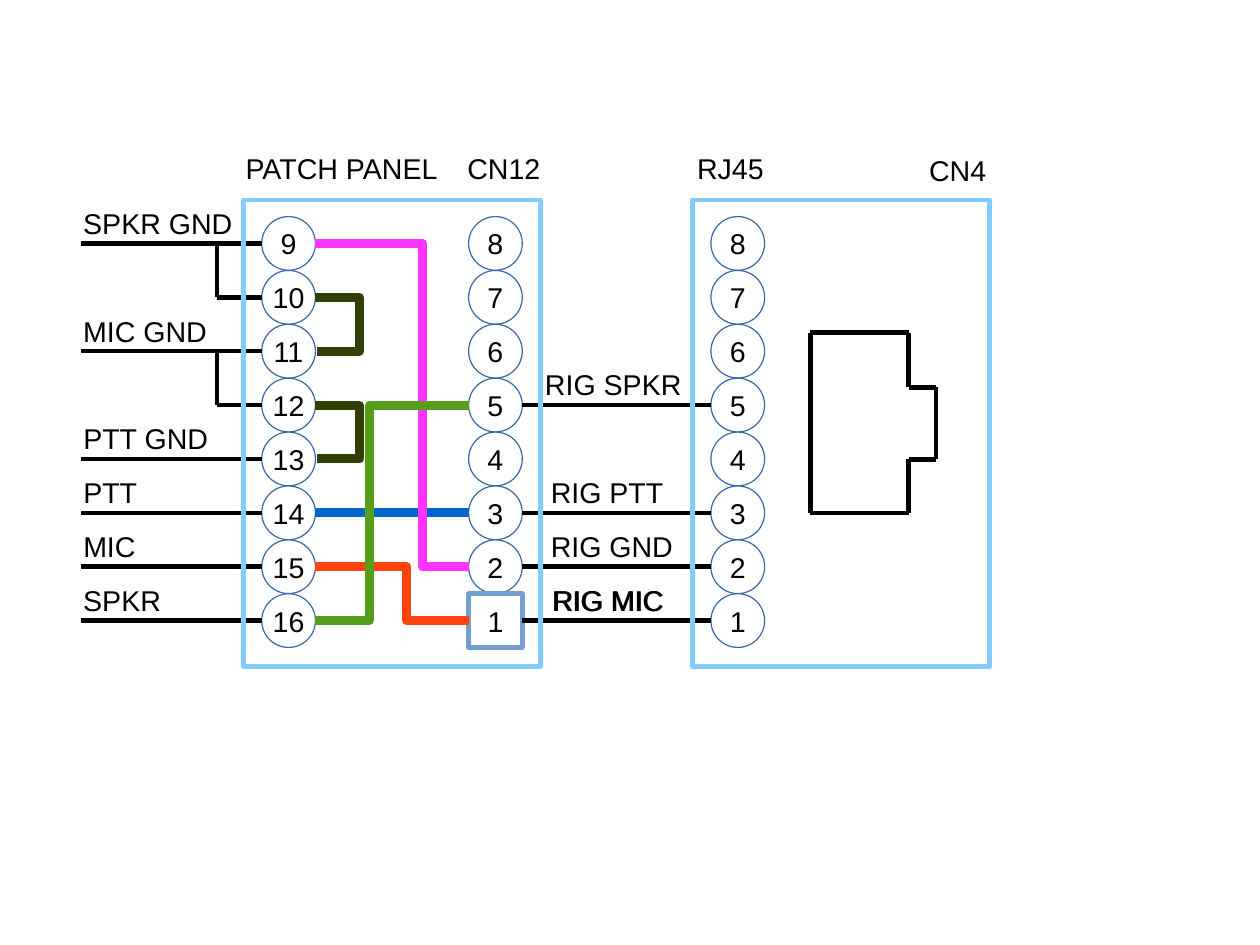
"""Wiring diagram of a patch panel joined to an RJ45 socket."""
import dataclasses

import lxml.etree
import pptx
import pptx.dml.color
import pptx.enum.shapes
import pptx.enum.text
import pptx.oxml.ns
import pptx.util

Inches = pptx.util.Inches
Pt = pptx.util.Pt
qn = pptx.oxml.ns.qn
SHAPE = pptx.enum.shapes.MSO_SHAPE
CONNECTOR = pptx.enum.shapes.MSO_CONNECTOR
ALIGN = pptx.enum.text.PP_ALIGN
ANCHOR = pptx.enum.text.MSO_ANCHOR
AUTO_SIZE = pptx.enum.text.MSO_AUTO_SIZE


@dataclasses.dataclass(frozen=True)
class Theme:
    font: str = "Arial"
    size: int = 18
    ink: str = "000000"
    pin_fill: str = "FFFFFF"
    pin_edge: str = "3465A4"
    first_pin_edge: str = "729FCF"
    panel_edge: str = "83CAFF"
    ground: str = "314004"
    magenta: str = "FF33FF"
    blue: str = "0066CC"
    orange: str = "FF420E"
    green: str = "579D1C"
    line: float = 2.83
    wire: float = 5.67


THEME = Theme()
PAGE_WIDTH, PAGE_HEIGHT = 28 / 2.54, 21 / 2.54
PIN = 0.47
FIRST_ROW, LAST_ROW = 2.13, 5.43
ROWS = [FIRST_ROW + (LAST_ROW - FIRST_ROW) * row / 7 for row in range(8)]
PANEL_PINS, CN12_PINS, RJ45_PINS = 2.29, 4.1, 6.22
PANEL_EDGE, CN12_EDGE = PANEL_PINS + PIN, CN12_PINS + PIN
LEAD_START, BRANCH = 0.71, 1.9
LABEL_HEIGHT = 0.38
ELLIPSE_LEFT, ELLIPSE_RIGHT, RECTANGLE_LEFT = 2, 6, 1


def rgb(value):
    return pptx.dml.color.RGBColor.from_string(value)


def apply(target, formats):
    for name, value in formats.items():
        setattr(target, name, value)


def outline(shape, color, width):
    shape.line.color.rgb = rgb(color)
    shape.line.width = Pt(width)


def write(shape, text, align, frame_formats):
    frame = shape.text_frame
    apply(frame, {"word_wrap": False, **frame_formats})
    para = frame.paragraphs[0]
    para.alignment = align
    span = para.add_run()
    span.text = text
    apply(span.font, {"name": THEME.font, "size": Pt(THEME.size)})
    span.font.color.rgb = rgb(THEME.ink)


def add_label(page, text, left, top, width):
    box = page.shapes.add_textbox(*map(Inches, (left, top, width, LABEL_HEIGHT)))
    write(box, text, ALIGN.LEFT, {"auto_size": AUTO_SIZE.SHAPE_TO_FIT_TEXT})


def add_outlined(page, kind, bounds, fill, edge, width):
    shape = page.shapes.add_shape(kind, *map(Inches, bounds))
    shape.shadow.inherit = False
    if fill:
        shape.fill.solid()
        shape.fill.fore_color.rgb = rgb(fill)
    else:
        shape.fill.background()
    outline(shape, edge, width)
    return shape


def add_pin(page, number, left, row, first=False):
    bounds = (left, ROWS[row] - PIN / 2, PIN, PIN)
    if first:
        pin = add_outlined(page, SHAPE.RECTANGLE, bounds, None, THEME.first_pin_edge, THEME.line)
    else:
        pin = add_outlined(page, SHAPE.OVAL, bounds, THEME.pin_fill, THEME.pin_edge, 0)
    write(pin, str(number), ALIGN.CENTER, {"vertical_anchor": ANCHOR.MIDDLE})
    return pin


def add_line(shapes, start, end, color=THEME.ink, width=THEME.line, kind=CONNECTOR.STRAIGHT):
    line = shapes.add_connector(kind, *map(Inches, (*start, *end)))
    outline(line, color, width)
    lxml.etree.SubElement(line._element.spPr, qn("a:effectLst"))
    return line


def glue(line, tag, pin, site):
    holder = line._element.find(".//" + qn("p:cNvCxnSpPr"))
    lxml.etree.SubElement(holder, qn(tag), id=str(pin.shape_id), idx=str(site))


def add_elbow(page, start_pin, end_pin, start, end, bend, color, end_site):
    wire = add_line(page.shapes, start, end, color, THEME.wire, CONNECTOR.ELBOW)
    ratio = (bend - start[0]) / (end[0] - start[0])
    geometry = wire._element.spPr.find(qn("a:prstGeom"))
    guides = geometry.get_or_add_avLst()
    lxml.etree.SubElement(guides, qn("a:gd"), name="adj1", fmla=f"val {round(ratio * 100000)}")
    glue(wire, "a:stCxn", start_pin, ELLIPSE_RIGHT)
    glue(wire, "a:endCxn", end_pin, end_site)


def add_jack(page):
    left, shoulder, right = 7.09, 7.95, 8.19
    top, notch_top, notch_bottom, bottom = 2.91, 3.39, 4.02, 4.49
    corners = [(left, top), (shoulder, top), (shoulder, notch_top), (right, notch_top),
               (right, notch_bottom), (shoulder, notch_bottom), (shoulder, bottom), (left, bottom)]
    jack = page.shapes.add_group_shape()
    for start, end in zip(corners, corners[1:] + corners[:1]):
        add_line(jack.shapes, start, end)


def add_leads(page):
    leads = [("SPKR GND", 0, 1.54), ("MIC GND", 2, 1.3), ("PTT GND", 4, 1.31),
             ("PTT", 5, 0.69), ("MIC", 6, 0.68), ("SPKR", 7, 0.9)]
    for text, row, width in leads:
        add_line(page.shapes, (LEAD_START, ROWS[row]), (PANEL_PINS, ROWS[row]))
        add_label(page, text, 0.63, ROWS[row] - LABEL_HEIGHT, width)
    for row in (0, 2):
        add_line(page.shapes, (BRANCH, ROWS[row + 1]), (PANEL_PINS, ROWS[row + 1]))
        add_line(page.shapes, (BRANCH, ROWS[row + 1]), (BRANCH, ROWS[row]))


def add_rig_lines(page):
    rig_lines = [("RIG SPKR", 3, 4.67, 1.43), ("RIG PTT", 5, 4.72, 1.21),
                 ("RIG GND", 6, 4.72, 1.29), ("RIG MIC", 7, 4.73, 1.19),
                 ("RIG MIC", 7, 4.74, 1.19)]
    for text, row, left, width in rig_lines:
        add_line(page.shapes, (CN12_EDGE, ROWS[row]), (RJ45_PINS, ROWS[row]))
        add_label(page, text, left, ROWS[row] - LABEL_HEIGHT, width)


def add_patch_wires(page, panel, cn12):
    for row in (1, 3):
        add_elbow(page, panel[row], panel[row + 1], (PANEL_EDGE, ROWS[row]),
                  (PANEL_EDGE + 0.01, ROWS[row + 1]), 3.15, THEME.ground, ELLIPSE_RIGHT)
    add_line(page.shapes, (PANEL_EDGE, ROWS[5]), (CN12_PINS, ROWS[5]), THEME.blue, THEME.wire)
    wires = [(0, 6, 3.7, THEME.magenta, ELLIPSE_LEFT),
             (6, 7, 3.56, THEME.orange, RECTANGLE_LEFT),
             (7, 3, 3.23, THEME.green, ELLIPSE_LEFT)]
    for start, end, bend, color, site in wires:
        add_elbow(page, panel[start], cn12[end], (PANEL_EDGE, ROWS[start]),
                  (CN12_PINS, ROWS[end]), bend, color, site)


def main():
    deck = pptx.Presentation()
    apply(deck, {"slide_width": Inches(PAGE_WIDTH), "slide_height": Inches(PAGE_HEIGHT)})
    page = deck.slides.add_slide(deck.slide_layouts[6])
    panel = [add_pin(page, 9 + row, PANEL_PINS, row) for row in range(8)]
    cn12 = [add_pin(page, 8 - row, CN12_PINS, row, row == 7) for row in range(8)]
    add_leads(page)
    add_patch_wires(page, panel, cn12)
    for row in range(8):
        add_pin(page, 8 - row, RJ45_PINS, row)
    add_jack(page)
    add_rig_lines(page)
    for left in (2.13, 6.06):
        add_outlined(page, SHAPE.RECTANGLE, (left, 1.75, 2.6, 4.08), None,
                     THEME.panel_edge, THEME.line)
    titles = [("PATCH PANEL", 2.05, 1.27, 1.9), ("CN12", 3.99, 1.27, 0.86),
              ("RJ45", 6, 1.27, 0.82), ("CN4", 8.03, 1.29, 0.72)]
    for title in titles:
        add_label(page, *title)
    deck.save("out.pptx")


if __name__ == "__main__":
    main()
